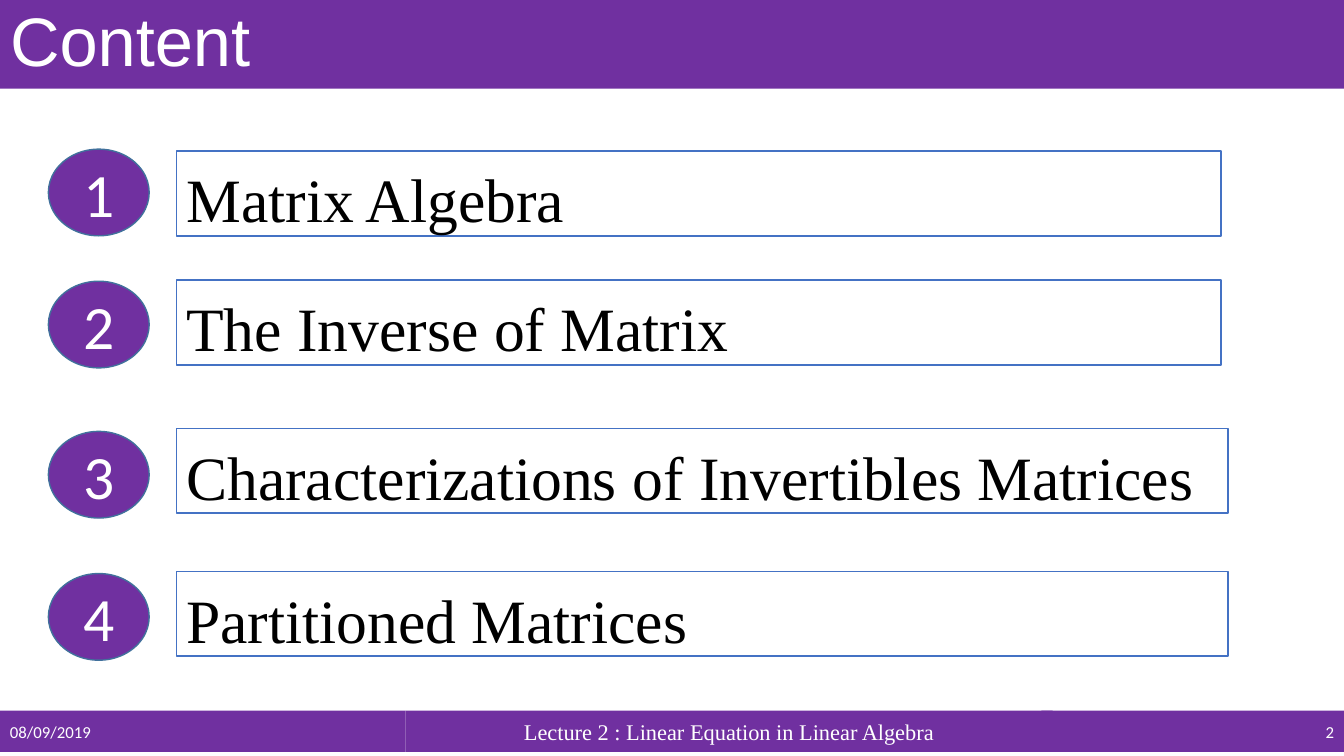
import pptx
import pptx.util
import pptx.dml.color
import pptx.enum.shapes
import pptx.enum.text

Inches = pptx.util.Inches
SHAPE = pptx.enum.shapes.MSO_SHAPE
ALIGN = pptx.enum.text.PP_ALIGN
MIDDLE = pptx.enum.text.MSO_ANCHOR.MIDDLE
TOP = pptx.enum.text.MSO_ANCHOR.TOP

WIDTH, HEIGHT = 13.33, 7.5
COLORS = {"purple": "7030A0", "white": "FFFFFF", "black": "000000",
          "oval_line": "41719C", "box_line": "4472C4"}
FORMATS = {
    "title": {"name": "Arial", "size": 49, "color": "white"},
    "small": {"name": "Calibri", "size": 12, "color": "white"},
    "lecture": {"name": "Times New Roman", "size": 16, "color": "white"},
    "number": {"name": "Calibri", "size": 44, "color": "white"},
    "topic": {"name": "Times New Roman", "size": 44, "color": "black"},
}
TITLE = "Content"
TOPICS = [
    ("Matrix Algebra", 1.48, 1.5, 10.36),
    ("The Inverse of Matrix", 2.79, 2.78, 10.36),
    ("Characterizations of Invertibles Matrices", 4.28, 4.25, 10.43),
    ("Partitioned Matrices", 5.69, 5.67, 10.43),
]
FOOTER = [
    ("08/09/2019", 0, 4.02, "small", ALIGN.LEFT),
    ("Lecture 2 : Linear Equation in Linear Algebra", 4.02, 6.42, "lecture", ALIGN.CENTER),
    ("2", 10.33, 3, "small", ALIGN.RIGHT),
]
NUMBER_LEFT, NUMBER_W, NUMBER_H = 0.48, 1, 0.86
TOPIC_LEFT, TOPIC_H = 1.75, 0.84
FOOTER_TOP, FOOTER_H = 7.05, 0.41


def rgb(name):
    return pptx.dml.color.RGBColor.from_string(COLORS[name])


def style(sp, text, fmt, align, fill, line=None, anchor=MIDDLE, top=0.05):
    sp.fill.solid()
    sp.fill.fore_color.rgb = rgb(fill)
    if line:
        sp.line.color.rgb = rgb(line)
        sp.line.width = pptx.util.Pt(1)
    else:
        sp.line.fill.background()
    tf = sp.text_frame
    settings = {"word_wrap": True, "auto_size": pptx.enum.text.MSO_AUTO_SIZE.NONE,
                "vertical_anchor": anchor, "margin_left": Inches(0.1),
                "margin_right": Inches(0.1), "margin_top": Inches(top),
                "margin_bottom": Inches(0.05 if anchor == MIDDLE else 0)}
    for key, value in settings.items():
        setattr(tf, key, value)
    p = tf.paragraphs[0]
    p.alignment = align
    r = p.add_run()
    r.text = text
    font = FORMATS[fmt]
    for key, value in {"name": font["name"], "size": pptx.util.Pt(font["size"])}.items():
        setattr(r.font, key, value)
    r.font.color.rgb = rgb(font["color"])
    return p


def add_block(s, kind, box, *args, **kwargs):
    sp = s.shapes.add_shape(kind, *map(Inches, box))
    sp.shadow.inherit = False
    style(sp, *args, **kwargs)


def main():
    prs = pptx.Presentation()
    prs.slide_width, prs.slide_height = Inches(WIDTH), Inches(HEIGHT)
    s = prs.slides.add_slide(prs.slide_layouts[5])

    title = s.shapes.title
    for key, value in zip(("left", "top", "width", "height"), (0, 0, WIDTH, 0.88)):
        setattr(title, key, Inches(value))
    style(title, TITLE, "title", ALIGN.LEFT, "purple").line_spacing = 0.9

    for text, left, width, fmt, align in FOOTER:
        add_block(s, SHAPE.RECTANGLE, (left, FOOTER_TOP, width, FOOTER_H),
                  text, fmt, align, "purple")

    for number, (text, oval_top, box_top, width) in enumerate(TOPICS, 1):
        add_block(s, SHAPE.OVAL, (NUMBER_LEFT, oval_top, NUMBER_W, NUMBER_H),
                  str(number), "number", ALIGN.CENTER, "purple", "oval_line")
        add_block(s, SHAPE.RECTANGLE, (TOPIC_LEFT, box_top, width, TOPIC_H),
                  text, "topic", ALIGN.LEFT, "white", "box_line", TOP, 0.1)

    prs.save("out.pptx")


if __name__ == "__main__":
    main()
